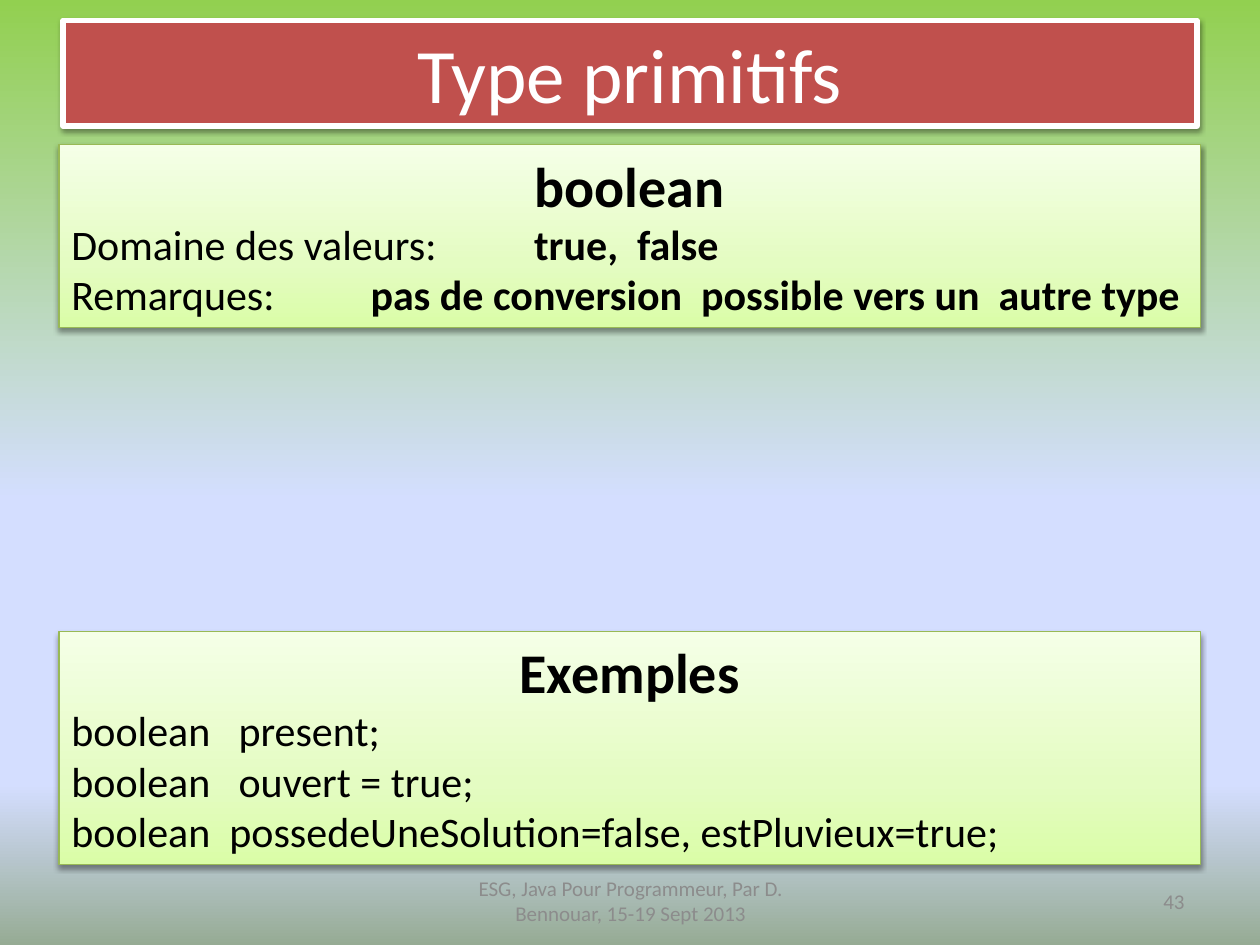
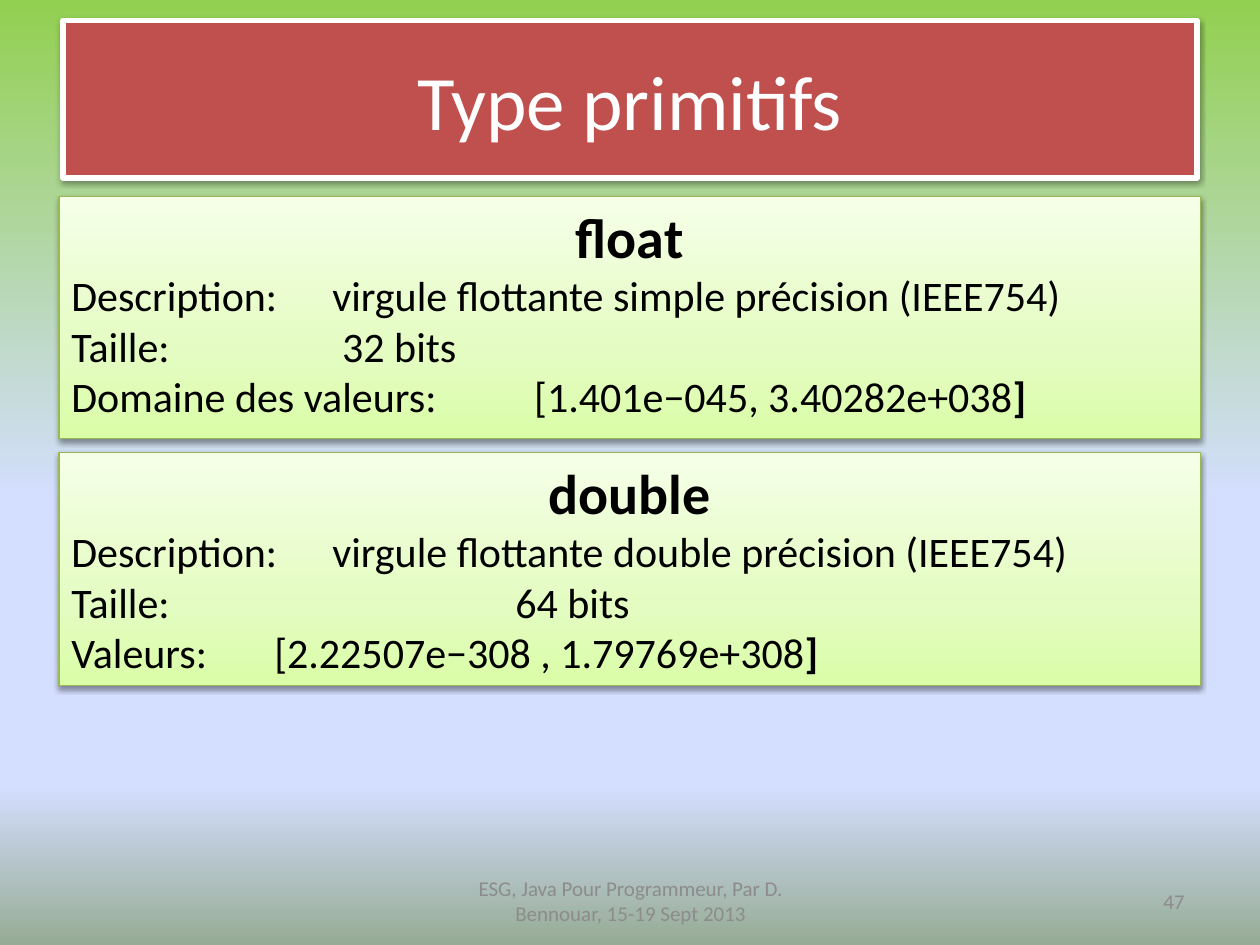
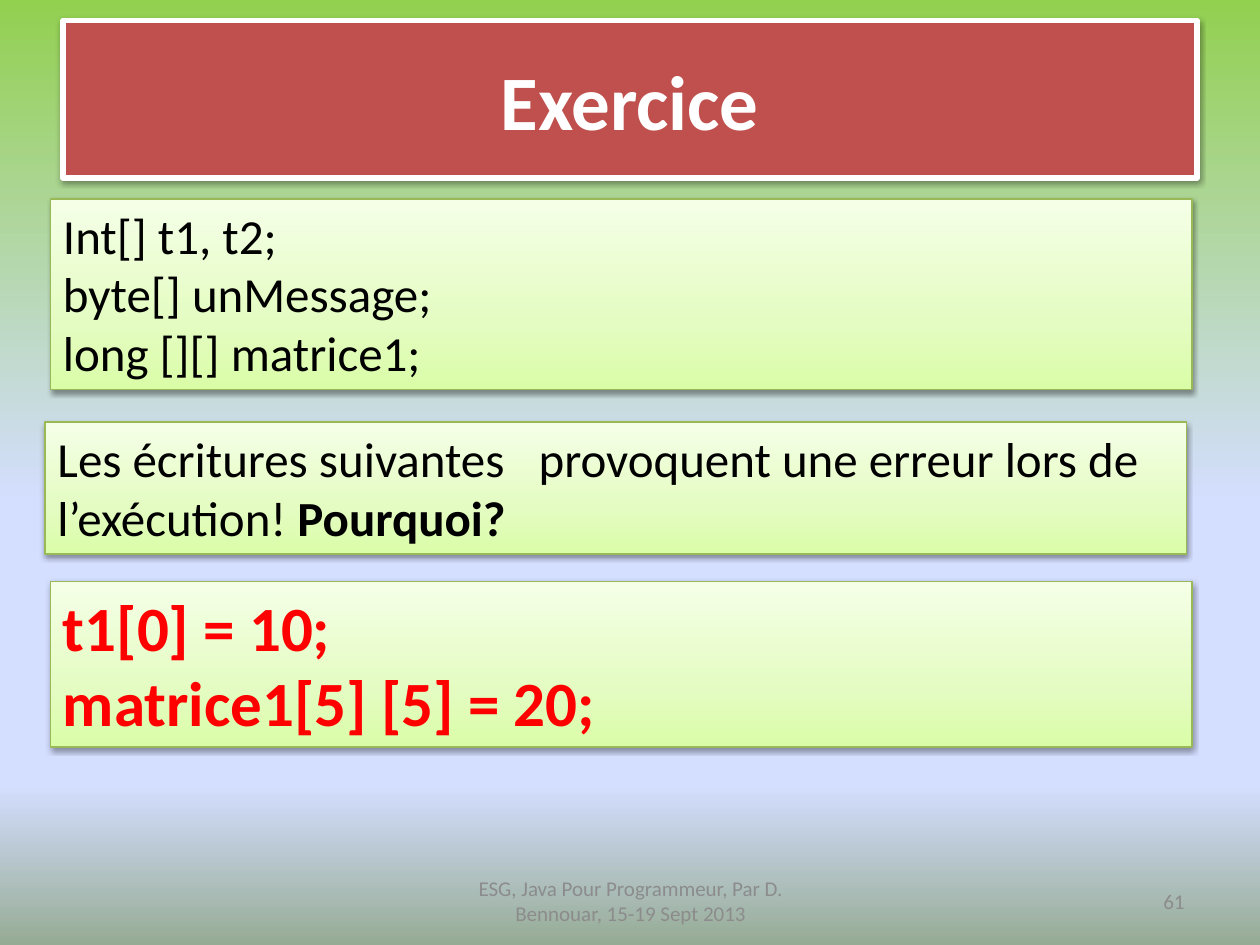
from dataclasses import dataclass

from lxml.etree import SubElement
from pptx import Presentation
from pptx.dml.color import RGBColor
from pptx.enum.shapes import MSO_SHAPE as Shape
from pptx.enum.text import MSO_ANCHOR as Anchor, PP_ALIGN as Align
from pptx.oxml.ns import qn
from pptx.util import Cm, Pt

WHITE = RGBColor(0xFF, 0xFF, 0xFF)
BLACK = RGBColor(0x00, 0x00, 0x00)
RED = RGBColor(0xFF, 0x00, 0x00)
BRICK = RGBColor(0xC0, 0x50, 0x4D)
OLIVE = RGBColor(0x98, 0xB9, 0x55)
GRAY = RGBColor(0x8C, 0x8C, 0x8C)
LAWN = RGBColor(0x92, 0xD0, 0x50)
SKY = RGBColor(0xD4, 0xDE, 0xFF)
SAGE = RGBColor(0x96, 0xAB, 0x94)
LIME = RGBColor(0xDA, 0xFD, 0xA7)
PALE_LIME = RGBColor(0xE4, 0xFC, 0xC2)
CREAM = RGBColor(0xF5, 0xFF, 0xE7)

FONT = "Calibri"
LANDSCAPE = [(0, LAWN), (53, SKY), (83, SKY), (100, SAGE)]
PANEL_FILL = [(0, LIME), (35, PALE_LIME), (100, CREAM)]
PANEL_LEFT, PANEL_WIDTH = 1.19, 23.01
COURSE = "ESG, Java Pour Programmeur, Par D. Bennouar, 15-19 Sept 2013"


@dataclass
class Line:
    plain: str = ""
    strong: str = ""
    tab: float = 0


def apply_gradient(owner, fill, stops, angle):
    fill.gradient()
    fill.gradient_angle = angle
    stop_list = owner.element.find(".//" + qn("a:gsLst"))
    for old_stop in list(stop_list):
        stop_list.remove(old_stop)
    for percent, color in stops:
        stop = SubElement(stop_list, qn("a:gs"), pos=str(percent * 1000))
        SubElement(stop, qn("a:srgbClr"), val=str(color))


def apply_shadow(shape):
    shape.shadow.inherit = False
    effects = shape.element.spPr.find(qn("a:effectLst"))
    shadow = SubElement(effects, qn("a:outerShdw"), blurRad="40000",
                        dist="20000", dir="5400000", rotWithShape="0")
    color = SubElement(shadow, qn("a:srgbClr"), val=str(BLACK))
    SubElement(color, qn("a:alpha"), val="38000")


def outline(shape, color, width):
    shape.line.color.rgb = color
    shape.line.width = Pt(width)


def format_runs(paragraph, size, color, align=Align.LEFT, bold=False):
    paragraph.alignment = align
    for run in paragraph.runs:
        run.font.name = FONT
        run.font.size = Pt(size)
        run.font.color.rgb = color
        run.font.bold = bold


def place(shape, left, top, width, height):
    shape.left, shape.top = Cm(left), Cm(top)
    shape.width, shape.height = Cm(width), Cm(height)


def add_tab(paragraph, position):
    tabs = SubElement(paragraph._p.get_or_add_pPr(), qn("a:tabLst"))
    SubElement(tabs, qn("a:tab"), pos=str(Cm(position)), algn="l")


def add_title(slide, text, height, bold):
    title = slide.shapes.title
    place(title, 1.27, 0.41, 22.86, height)
    title.fill.solid()
    title.fill.fore_color.rgb = BRICK
    outline(title, WHITE, 3)
    apply_shadow(title)
    title.text_frame.text = text
    title.text_frame.vertical_anchor = Anchor.MIDDLE
    format_runs(title.text_frame.paragraphs[0], 44, WHITE, Align.CENTER, bold)


def add_panel(slide, top, height, lines, size=24, heading="",
              left=PANEL_LEFT, color=BLACK):
    panel = slide.shapes.add_shape(Shape.RECTANGLE, Cm(left), Cm(top),
                                   Cm(PANEL_WIDTH), Cm(height))
    apply_gradient(panel, panel.fill, PANEL_FILL, 90)
    outline(panel, OLIVE, 0.75)
    apply_shadow(panel)
    frame = panel.text_frame
    frame.word_wrap = True
    frame.vertical_anchor = Anchor.TOP
    paragraph = frame.paragraphs[0]
    if heading:
        paragraph.text = heading
        format_runs(paragraph, 32, color, Align.CENTER, True)
    for index, line in enumerate(lines):
        if index or heading:
            paragraph = frame.add_paragraph()
        if line.tab:
            add_tab(paragraph, line.tab)
        if line.plain:
            paragraph.text = line.plain
        format_runs(paragraph, size, color)
        if line.strong:
            emphasis = paragraph.add_run()
            emphasis.text = line.strong
            format_runs(paragraph, size, color)
            emphasis.font.bold = True


def add_footer_text(slide, text, left, width, align):
    box = slide.shapes.add_textbox(Cm(left), Cm(17.65), Cm(width), Cm(1.02))
    frame = box.text_frame
    frame.word_wrap = True
    frame.vertical_anchor = Anchor.MIDDLE
    frame.text = text
    format_runs(frame.paragraphs[0], 12, GRAY, align)


def add_lesson(deck, title, number, title_height=3.18, bold=False):
    slide = deck.slides.add_slide(deck.slide_layouts[5])
    add_title(slide, title, title_height, bold)
    add_footer_text(slide, COURSE, 8.69, 8.05, Align.CENTER)
    add_footer_text(slide, str(number), 18.21, 5.92, Align.RIGHT)
    return slide


def build_boolean(deck):
    slide = add_lesson(deck, "Type primitifs", 43, title_height=2.13)
    add_panel(slide, 2.92, 3.68, [
        Line("Domaine des valeurs:\t", "true,  false", 9.33),
        Line("Remarques:\t", "pas de conversion  possible vers un  autre type", 6.03),
    ], heading="boolean")
    add_panel(slide, 12.73, 4.7, [
        Line("boolean\tpresent;", tab=3.37),
        Line("boolean\touvert = true;", tab=3.37),
        Line("boolean  possedeUneSolution=false, estPluvieux=true;"),
    ], heading="Exemples")


def build_floating(deck):
    slide = add_lesson(deck, "Type primitifs", 47)
    add_panel(slide, 3.96, 4.88, [
        Line("Description:\tvirgule flottante simple précision (IEEE754)", tab=5.26),
        Line("Taille:\t32 bits", tab=5.46),
        Line("Domaine des valeurs:\t[1.401e−045, 3.40282e+038", "]", 9.33),
    ], heading="float")
    add_panel(slide, 9.12, 4.7, [
        Line("Description:\tvirgule flottante double précision (IEEE754)", tab=5.26),
        Line("Taille:\t64 bits", tab=8.95),
        Line("Valeurs:\t[2.22507e−308 , 1.79769e+308", "]", 4.09),
    ], heading="double")


def build_exercise(deck):
    slide = add_lesson(deck, "Exercice", 61, bold=True)
    add_panel(slide, 4.01, 3.84, [
        Line("Int[] t1, t2;"),
        Line("byte[] unMessage;"),
        Line("long [][] matrice1;"),
    ], size=28, left=1.02)
    add_panel(slide, 8.51, 2.66, [
        Line("Les écritures suivantes\tprovoquent une erreur lors de l’exécution! ",
             "Pourquoi?", 9.7),
    ], size=28, left=0.91)
    add_panel(slide, 11.73, 3.33, [
        Line(strong="t1[0] = 10;"),
        Line(strong="matrice1[5] [5] = 20;"),
    ], size=36, left=1.02, color=RED)


def main():
    deck = Presentation()
    deck.slide_width, deck.slide_height = Cm(25.4), Cm(19.05)
    master = deck.slide_master
    apply_gradient(master, master.background.fill, LANDSCAPE, 270)
    build_boolean(deck)
    build_floating(deck)
    build_exercise(deck)
    deck.save("out.pptx")


if __name__ == "__main__":
    main()
